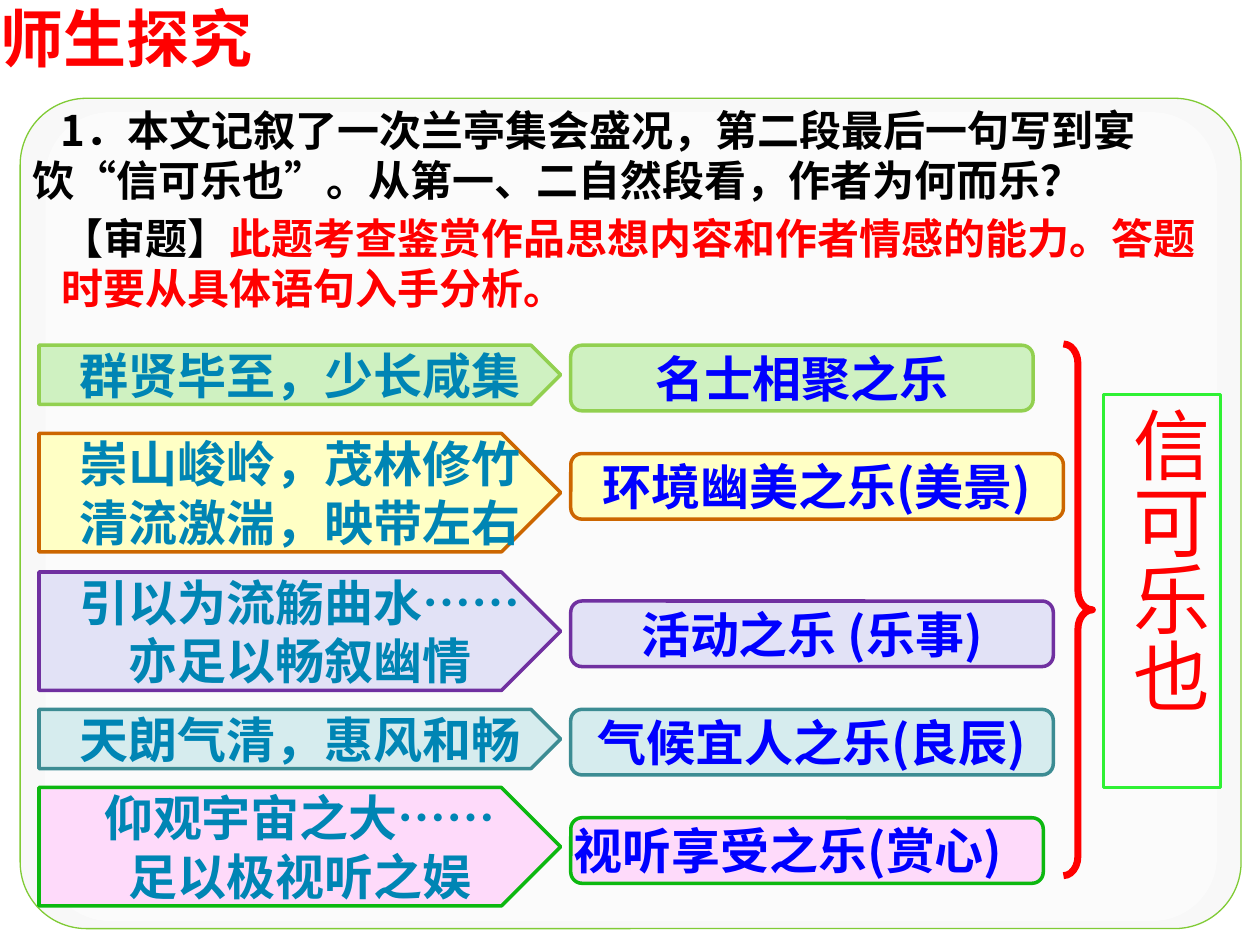
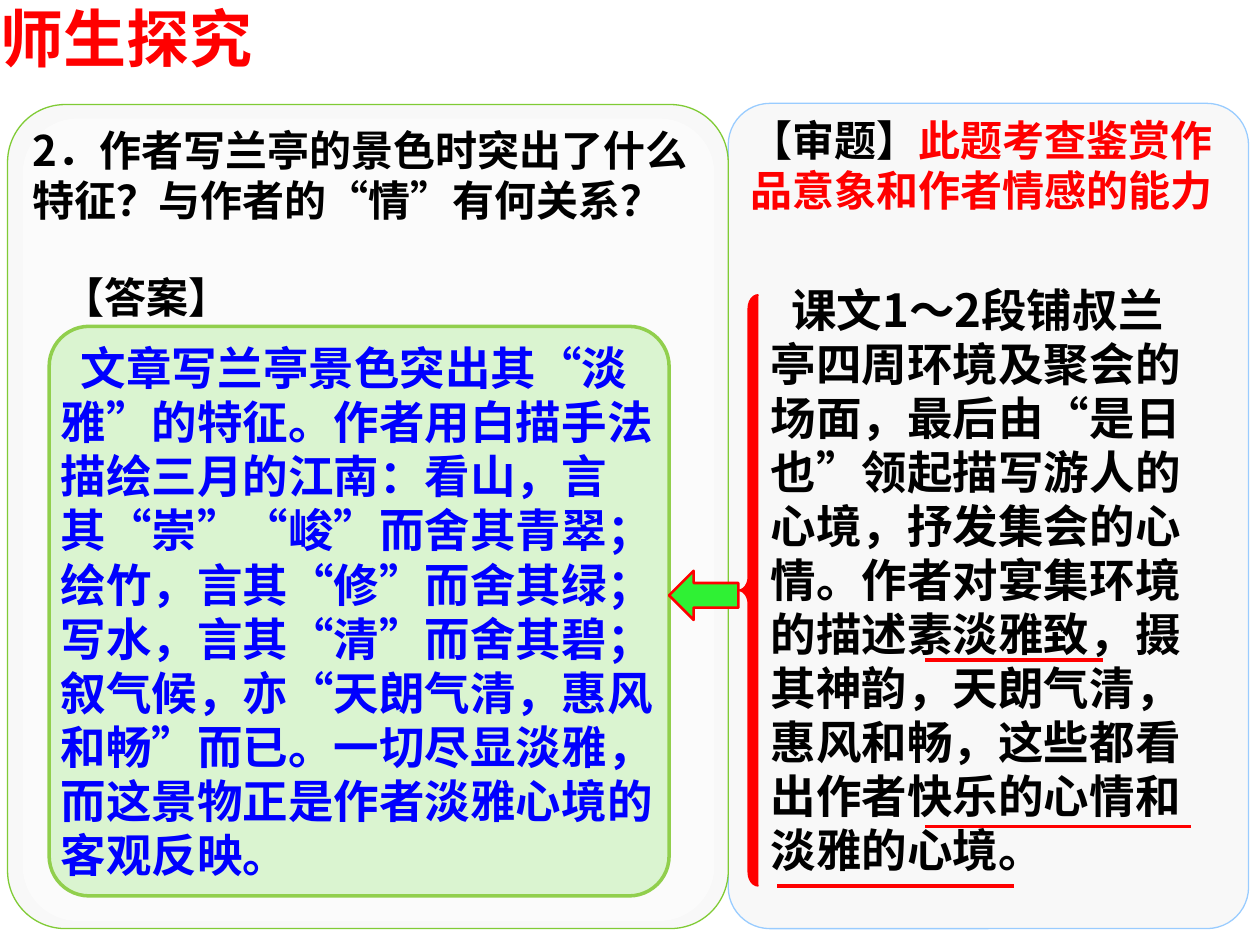
from dataclasses import dataclass

import lxml.etree
import pptx
import pptx.dml.color
import pptx.enum.shapes
import pptx.enum.text
import pptx.oxml.ns
import pptx.shapes.base
import pptx.slide
import pptx.text.text
import pptx.util

Inches = pptx.util.Inches
Pt = pptx.util.Pt
qn = pptx.oxml.ns.qn
Shape = pptx.enum.shapes.MSO_SHAPE
Align = pptx.enum.text.PP_ALIGN
Anchor = pptx.enum.text.MSO_ANCHOR
Box = tuple[float, float, float, float]
Run = tuple[str, str]


@dataclass(frozen=True)
class Theme:
    red: str = "FF0000"
    black: str = "000000"
    blue: str = "0000FF"
    teal: str = "0085B4"
    green: str = "2FF134"
    shadow: str = "808080"
    panel: str = "F8F8F8"
    panel_glow: str = "FFFFFF"
    panel_green: str = "80CB35"
    panel_blue: str = "99CCFF"
    answer_fill: str = "DAF4D0"
    answer_line: str = "91CF4D"
    title_size: int = 36
    question_size: int = 24
    answer_size: int = 26
    label_size: int = 28
    conclusion_size: int = 44
    line_pitch: float = 1.19
    latin_title: str = "Arial"
    font: str = "Noto Sans CJK SC"
    vertical_font: str = "Noto Sans CJK JP"


THEME = Theme()
TEXT_BOX_INSETS = (0.1, 0.05, 0.1, 0.05)
NO_INSETS = (0, 0, 0, 0)


@dataclass(frozen=True)
class TextStyle:
    size: int
    bold: bool = True
    latin: str = THEME.font
    east_asian: str = THEME.font
    align: Align = Align.LEFT
    anchor: Anchor = Anchor.TOP
    insets: Box = TEXT_BOX_INSETS
    indent: float = 0
    wrap: bool = True


@dataclass(frozen=True)
class Joy:
    """A quotation in an arrow and the joy it stands for."""
    fill: str
    line: str
    quotation: tuple[str, ...]
    arrow_top: float
    joy: str
    joy_top: float
    joy_width: float
    joy_align: Align = Align.CENTER


JOYS = (
    Joy("CFF1C1", "92D050", ("群贤毕至，少长咸集",), 2.74,
        "名士相聚之乐", 2.74, 3.67),
    Joy("FFFFC5", "CC6600", ("崇山峻岭，茂林修竹", "清流激湍，映带左右"), 3.44,
        "环境幽美之乐(美景)", 3.6, 3.91),
    Joy("E2E2F6", "7030A0", ("引以为流觞曲水……", "亦足以畅叙幽情"), 4.54,
        "活动之乐 (乐事)", 4.77, 3.83),
    Joy("D6ECEE", "3C8C93", ("天朗气清，惠风和畅",), 5.63,
        "气候宜人之乐(良辰)", 5.63, 3.83),
    Joy("FEDAFA", "0CB810", ("仰观宇宙之大……", "足以极视听之娱"), 6.25,
        "视听享受之乐(赏心)", 6.49, 3.75, Align.LEFT),
)


def rgb(color: str) -> pptx.dml.color.RGBColor:
    return pptx.dml.color.RGBColor.from_string(color)


def apply(target: object, values: dict[str, object]) -> None:
    for name, value in values.items():
        setattr(target, name, value)


def write_text(frame: pptx.text.text.TextFrame, paragraphs: list[list[Run]],
               style: TextStyle) -> None:
    """Fill a frame with paragraphs made of (text, colour) runs."""
    left, top, right, bottom = map(Inches, style.insets)
    apply(frame, {
        "auto_size": pptx.enum.text.MSO_AUTO_SIZE.NONE,
        "word_wrap": style.wrap, "vertical_anchor": style.anchor,
        "margin_left": left, "margin_top": top,
        "margin_right": right, "margin_bottom": bottom,
    })
    for index, runs in enumerate(paragraphs):
        paragraph = frame.add_paragraph() if index else frame.paragraphs[0]
        apply(paragraph, {
            "alignment": style.align,
            "line_spacing": Pt(round(style.size * THEME.line_pitch, 1)),
            "space_before": Pt(0),
        })
        if style.indent:
            paragraph._p.get_or_add_pPr().set("indent", str(Inches(style.indent)))
        for text, color in runs:
            run = paragraph.add_run()
            run.text = text
            apply(run.font, {"size": Pt(style.size), "bold": style.bold,
                             "name": style.latin})
            run.font.color.rgb = rgb(color)
            lxml.etree.SubElement(run._r.get_or_add_rPr(), qn("a:ea"),
                                  typeface=style.east_asian)


def add_text(slide: pptx.slide.Slide, box: Box, runs: list[Run],
             style: TextStyle) -> None:
    shape = slide.shapes.add_textbox(*map(Inches, box))
    write_text(shape.text_frame, [runs], style)


def add_figure(slide: pptx.slide.Slide, kind: Shape, box: Box,
               fill: str | None = None, line: str | None = None,
               width: float = 2, adjustments: tuple[float, ...] = ()
               ) -> pptx.shapes.base.BaseShape:
    shape = slide.shapes.add_shape(kind, *map(Inches, box))
    shape.shadow.inherit = False
    for index, value in enumerate(adjustments):
        shape.adjustments[index] = value
    if fill:
        shape.fill.solid()
        shape.fill.fore_color.rgb = rgb(fill)
    else:
        shape.fill.background()
    if line:
        shape.line.color.rgb = rgb(line)
        shape.line.width = Pt(width)
    else:
        shape.line.fill.background()
    return shape


def add_panel(slide: pptx.slide.Slide, box: Box, line: str,
              glow_box: Box | None = None) -> None:
    """Rounded background panel, with a half-transparent inner layer if asked."""
    add_figure(slide, Shape.ROUNDED_RECTANGLE, box, THEME.panel, line, 0.75, (0.08,))
    if glow_box:
        glow = add_figure(slide, Shape.ROUNDED_RECTANGLE, glow_box,
                          THEME.panel_glow, adjustments=(0.08,))
        color = glow._element.spPr.find(qn("a:solidFill"))[0]
        lxml.etree.SubElement(color, qn("a:alpha"), val="50000")


def add_title(slide: pptx.slide.Slide) -> None:
    title = slide.shapes.title
    apply(title, dict(zip(("left", "top", "width", "height"),
                          map(Inches, (0, 0, 3.35, 0.6)))))
    write_text(title.text_frame, [[("师生探究", THEME.red)]],
               TextStyle(THEME.title_size, latin=THEME.latin_title, insets=NO_INSETS))
    # Text shadow, placed right after the fill
    properties = title.text_frame.paragraphs[0].runs[0]._r.get_or_add_rPr()
    effects = lxml.etree.Element(qn("a:effectLst"))
    shadow = lxml.etree.SubElement(effects, qn("a:outerShdw"),
                                   dist=str(Pt(2)), dir="2700000")
    lxml.etree.SubElement(shadow, qn("a:srgbClr"), val=THEME.shadow)
    properties.find(qn("a:solidFill")).addnext(effects)


def add_underline(slide: pptx.slide.Slide, left: float, right: float,
                  top: float) -> None:
    line = slide.shapes.add_connector(
        pptx.enum.shapes.MSO_CONNECTOR.STRAIGHT,
        Inches(left), Inches(top), Inches(right), Inches(top))
    line.line.color.rgb = rgb(THEME.red)
    line.line.width = Pt(2)
    lxml.etree.SubElement(line._element.spPr, qn("a:effectLst"))


def add_joy(slide: pptx.slide.Slide, joy: Joy) -> None:
    height = 0.47 * len(joy.quotation)
    arrow = add_figure(slide, Shape.PENTAGON, (0.31, joy.arrow_top, 4.14, height),
                       joy.fill, joy.line, adjustments=(0.5,))
    # The left inset balances the arrow tip, so text centres on the whole arrow
    write_text(arrow.text_frame, [[(text, THEME.teal)] for text in joy.quotation],
               TextStyle(THEME.label_size, align=Align.CENTER, anchor=Anchor.MIDDLE,
                         insets=(height / 4, 0, 0, 0)))
    label = add_figure(slide, Shape.ROUNDED_RECTANGLE,
                       (4.53, joy.joy_top, joy.joy_width, 0.52),
                       joy.fill, joy.line, adjustments=(0.17,))
    write_text(label.text_frame, [[(joy.joy, THEME.blue)]],
               TextStyle(THEME.label_size, align=joy.joy_align, anchor=Anchor.MIDDLE,
                         insets=NO_INSETS, wrap=joy.joy_align == Align.CENTER))


def build_joys_slide(slide: pptx.slide.Slide) -> None:
    add_panel(slide, (0.16, 0.78, 9.69, 6.59), THEME.panel_green,
              (0.36, 0.89, 9.3, 6.42))
    add_title(slide)
    add_text(slide, (0.16, 0.78, 9.61, 0.9),
             [("1．本文记叙了一次兰亭集会盛况，第二段最后一句写到宴饮“信可乐也”。"
               "从第一、二自然段看，作者为何而乐？", THEME.black)],
             TextStyle(THEME.question_size, indent=0.22))
    add_text(slide, (0.39, 1.64, 9.3, 0.9),
             [("【审题】", THEME.black),
              ("此题考查鉴赏作品思想内容和作者情感的能力。答题时要从具体语句入手分析。",
               THEME.red)],
             TextStyle(THEME.question_size))
    for joy in JOYS:
        add_joy(slide, joy)

    # Brace and vertical conclusion
    add_figure(slide, Shape.RIGHT_BRACE, (8.44, 2.73, 0.23, 4.22),
               line=THEME.red, width=4, adjustments=(0.67, 0.5))
    conclusion = add_figure(slide, Shape.RECTANGLE, (8.76, 3.13, 0.93, 3.12),
                            line=THEME.green, width=1.5)
    write_text(conclusion.text_frame, [[("信可乐也", THEME.red)]],
               TextStyle(THEME.conclusion_size, bold=False, latin=THEME.vertical_font,
                         east_asian=THEME.vertical_font, align=Align.CENTER,
                         insets=(0.05, 0.1, 0.05, 0.1)))
    conclusion.text_frame._txBody.bodyPr.set("vert", "eaVert")


def build_scenery_slide(slide: pptx.slide.Slide) -> None:
    add_panel(slide, (5.78, 0.82, 4.13, 6.55), THEME.panel_blue)
    add_panel(slide, (0.06, 0.83, 5.72, 6.54), THEME.panel_green,
              (0.18, 0.94, 5.49, 6.37))
    add_title(slide)

    # Question and answer
    add_text(slide, (0.16, 0.94, 5.47, 0.9),
             [("2．作者写兰亭的景色时突出了什么特征？与作者的“情”有何关系？", THEME.black)],
             TextStyle(THEME.question_size))
    add_text(slide, (0.4, 2.11, 1.53, 0.5), [("【答案】", THEME.black)],
             TextStyle(THEME.question_size, wrap=False))
    answer = add_figure(slide, Shape.ROUNDED_RECTANGLE, (0.39, 2.59, 4.92, 4.52),
                        THEME.answer_fill, THEME.answer_line, adjustments=(0.07,))
    write_text(answer.text_frame,
               [[("文章写兰亭景色突出其“淡雅”的特征。作者用白描手法描绘三月的江南：看山，"
                  "言其“崇”“峻”而舍其青翠；绘竹，言其“修”而舍其绿；写水，言其“清”而舍其碧；"
                  "叙气候，亦“天朗气清，惠风和畅”而已。一切尽显淡雅，而这景物正是作者淡雅心境的"
                  "客观反映。", THEME.blue)]],
               TextStyle(THEME.answer_size, anchor=Anchor.MIDDLE, insets=NO_INSETS,
                         indent=0.16))

    # Analysis of the text
    add_text(slide, (5.86, 0.86, 3.98, 0.9),
             [("【审题】", THEME.black),
              ("此题考查鉴赏作品意象和作者情感的能力", THEME.red)],
             TextStyle(THEME.question_size))
    add_text(slide, (6.02, 2.19, 3.67, 4.87),
             [("课文1～2段铺叔兰亭四周环境及聚会的场面，最后由“是日也”领起描写游人的心境，"
               "抒发集会的心情。作者对宴集环境的描述素淡雅致，摄其神韵，天朗气清，惠风和畅，"
               "这些都看出作者快乐的心情和淡雅的心境。", THEME.black)],
             TextStyle(THEME.answer_size, indent=0.16))
    for left, right, top in ((7.34, 8.75, 5.24), (7.34, 9.45, 6.56), (6.17, 8.05, 7.03)):
        add_underline(slide, left, right, top)

    # Brace and arrow leading back to the answer
    add_figure(slide, Shape.LEFT_BRACE, (5.86, 2.34, 0.16, 4.69),
               THEME.red, THEME.red, 1, (0.67, 0.5))
    add_figure(slide, Shape.LEFT_ARROW, (5.31, 4.53, 0.55, 0.39),
               THEME.green, THEME.red, 1.5, (0.5, 0.5))


def main() -> None:
    presentation = pptx.Presentation()
    presentation.slide_width = Inches(10)
    presentation.slide_height = Inches(7.5)
    title_only = presentation.slide_layouts[5]
    for build in (build_joys_slide, build_scenery_slide):
        build(presentation.slides.add_slide(title_only))
    presentation.save("out.pptx")


if __name__ == "__main__":
    main()
